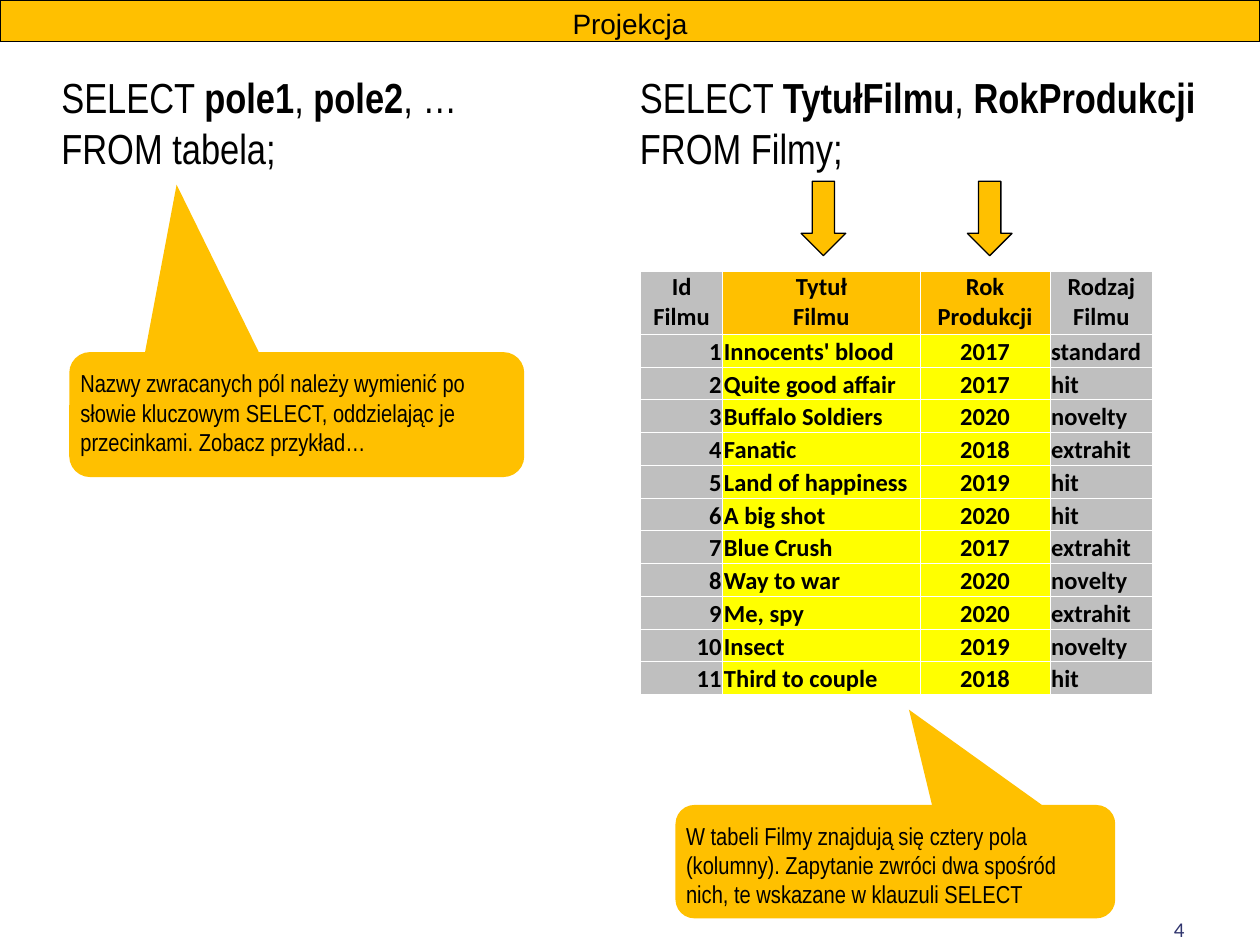
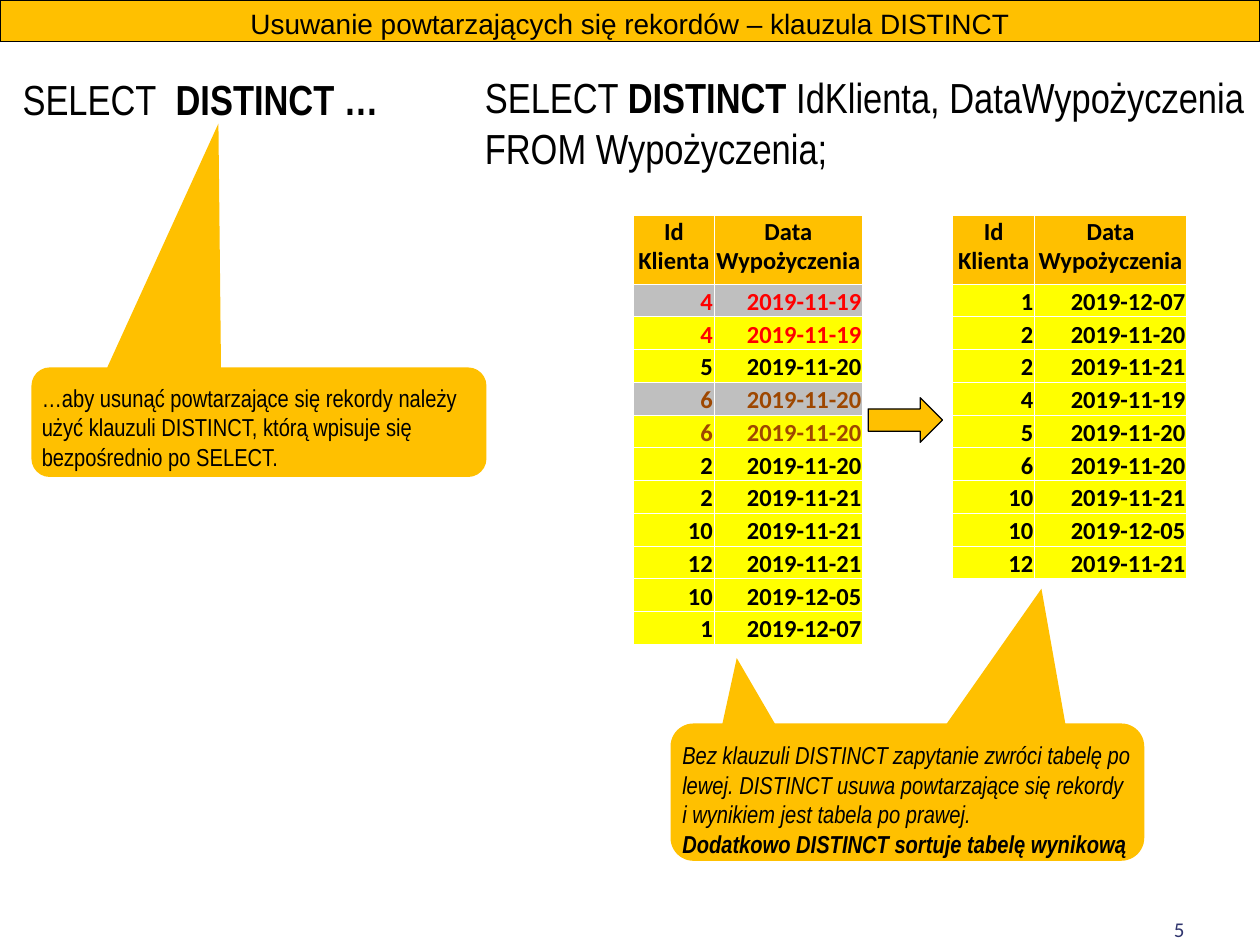
from lxml import etree
from pptx import Presentation
from pptx import util as u
from pptx.dml import color
from pptx.enum import shapes, text
from pptx.oxml import ns

AMBER, YELLOW, GREY = "FFC000", "FFFF00", "BFBFBF"
BLACK, WHITE, NAVY, RED, BROWN = "000000", "FFFFFF", "30356E", "FF0000", "9E4700"
HEADING, NARROW, TABLE_FONT = "Arial", "Arial Narrow", "Calibri"
LEFT, CENTER, RIGHT = text.PP_ALIGN.LEFT, text.PP_ALIGN.CENTER, text.PP_ALIGN.RIGHT
TOP, BOTTOM = text.MSO_ANCHOR.TOP, text.MSO_ANCHOR.BOTTOM
SLIDE_WIDTH, SLIDE_HEIGHT = 720, 540
ROW_HEIGHT = 18.72


def rgb(value):
    return color.RGBColor.from_string(value)


def points(box):
    return [u.Pt(length) for length in box]


def write(frame, paragraphs, font, size, ink=BLACK, align=LEFT, italic=False):
    """Each paragraph is a list of (text, bold) runs."""
    for index, runs in enumerate(paragraphs):
        paragraph = frame.paragraphs[0] if index == 0 else frame.add_paragraph()
        paragraph.alignment = align
        for content, bold in runs:
            run = paragraph.add_run()
            run.text = content
            run.font.name, run.font.size = font, u.Pt(size)
            run.font.bold, run.font.italic = bold, italic
            run.font.color.rgb = rgb(ink)


def set_frame(frame, insets, anchor=TOP):
    frame.word_wrap = True
    frame.auto_size = text.MSO_AUTO_SIZE.NONE
    frame.vertical_anchor = anchor
    (frame.margin_left, frame.margin_top,
     frame.margin_right, frame.margin_bottom) = points(insets)


def paint(shape, outlined):
    shape.fill.solid()
    shape.fill.fore_color.rgb = rgb(AMBER)
    if outlined:
        shape.line.color.rgb = rgb(BLACK)
        shape.line.width = u.Pt(0.75)
    else:
        shape.line.fill.background()


def add_text(slide, box, paragraphs, font=NARROW, size=24, ink=BLACK,
             align=LEFT, anchor=TOP):
    frame = slide.shapes.add_textbox(*points(box)).text_frame
    set_frame(frame, (7.2, 3.6, 7.2, 3.6), anchor)
    write(frame, paragraphs, font, size, ink, align)


def add_preset(slide, kind, box, adjustments, outlined):
    shape = slide.shapes.add_shape(kind, *points(box))
    shape.shadow.inherit = False
    for index, value in enumerate(adjustments):
        shape.adjustments[index] = value
    paint(shape, outlined)
    return shape


def add_arrow(slide, left, top, rotation=0):
    arrow = add_preset(slide, shapes.MSO_SHAPE.DOWN_ARROW,
                       (left, top, 25.5, 42.5), (0.5, 0.5), outlined=True)
    arrow.rotation = rotation


def add_callout(slide, box, tip, paragraphs=(), italic=False):
    """The tip is an offset from the centre, in shares of the box."""
    callout = add_preset(slide, shapes.MSO_SHAPE.ROUNDED_RECTANGULAR_CALLOUT,
                         box, (*tip, 0.167), outlined=False)
    set_frame(callout.text_frame, (2.9, 5.8, 2.9, 3.6))
    write(callout.text_frame, paragraphs, NARROW, 14, italic=italic)


def add_borders(cell):
    properties = cell._tc.get_or_add_tcPr()
    for side in ("lnL", "lnR", "lnT", "lnB"):
        line = etree.SubElement(properties, ns.qn("a:" + side), w=str(u.Pt(0.5)))
        fill = etree.SubElement(line, ns.qn("a:solidFill"))
        etree.SubElement(fill, ns.qn("a:srgbClr"), val=WHITE)


def fill_cell(cell, lines, fill, ink, align, anchor):
    add_borders(cell)
    cell.fill.solid()
    cell.fill.fore_color.rgb = rgb(fill)
    cell.vertical_anchor = anchor
    (cell.margin_left, cell.margin_top,
     cell.margin_right, cell.margin_bottom) = points((0.7, 0.7, 0.7, 0))
    for index, line in enumerate(lines):
        if index:
            cell.text_frame.paragraphs[0].add_line_break()
        write(cell.text_frame, [[(line, True)]], TABLE_FONT, 14, ink, align)


def add_records(slide, left, top, widths, header_height, headers, records,
                aligns, unused_columns=(), row_styles=None):
    """Unused columns are grey; row_styles maps a record to (fill, ink)."""
    height = header_height + ROW_HEIGHT * len(records)
    table = slide.shapes.add_table(len(records) + 1, len(headers), *points(
        (left, top, sum(widths), height))).table
    table.first_row = table.horz_banding = False
    for column, width in zip(table.columns, widths):
        column.width = u.Pt(width)
    for index, row in enumerate(table.rows):
        row.height = u.Pt(ROW_HEIGHT if index else header_height)
    for column, header in enumerate(headers):
        unused = column in unused_columns
        fill_cell(table.cell(0, column), header.split(),
                  GREY if unused else AMBER, BLACK, CENTER, TOP)
        for row, record in enumerate(records):
            fill, ink = (row_styles or {}).get(row, (YELLOW, BLACK))
            fill_cell(table.cell(row + 1, column), [str(record[column])],
                      GREY if unused else fill, ink, aligns[column], BOTTOM)


def start_slide(presentation, title, number):
    """Slide with the title band and the page number."""
    slide = presentation.slides.add_slide(presentation.slide_layouts[5])
    band = slide.shapes.title
    band.left, band.top, band.width, band.height = points((0, 0, SLIDE_WIDTH, 23.8))
    paint(band, outlined=True)
    set_frame(band.text_frame, (7.2, 3.6, 7.2, 3.6))
    write(band.text_frame, [[(title, False)]], HEADING, 16, align=CENTER)
    add_text(slide, (516, 504, 168, 37.5), [[(str(number), False)]],
             TABLE_FONT, 12, NAVY, RIGHT, BOTTOM)
    return slide


FILMS = [
    (1, "Innocents' blood", 2017, "standard"),
    (2, "Quite good affair", 2017, "hit"),
    (3, "Buffalo Soldiers", 2020, "novelty"),
    (4, "Fanatic", 2018, "extrahit"),
    (5, "Land of happiness", 2019, "hit"),
    (6, "A big shot", 2020, "hit"),
    (7, "Blue Crush", 2017, "extrahit"),
    (8, "Way to war", 2020, "novelty"),
    (9, "Me, spy", 2020, "extrahit"),
    (10, "Insect", 2019, "novelty"),
    (11, "Third to couple", 2018, "hit"),
]
RENTALS = [
    (4, "2019-11-19"), (4, "2019-11-19"), (5, "2019-11-20"), (6, "2019-11-20"),
    (6, "2019-11-20"), (2, "2019-11-20"), (2, "2019-11-21"), (10, "2019-11-21"),
    (12, "2019-11-21"), (10, "2019-12-05"), (1, "2019-12-07"),
]
DISTINCT_RENTALS = [
    (1, "2019-12-07"), (2, "2019-11-20"), (2, "2019-11-21"), (4, "2019-11-19"),
    (5, "2019-11-20"), (6, "2019-11-20"), (10, "2019-11-21"), (10, "2019-12-05"),
    (12, "2019-11-21"),
]


def projection_slide(presentation):
    slide = start_slide(presentation, "Projekcja", 4)
    # Syntax and its explanation
    add_text(slide, (28, 37.5, 308, 98.5), [
        [("SELECT ", False), ("pole1", True), (", ", False), ("pole2", True),
         (", …", False)],
        [("FROM tabela;", False)]])
    add_callout(slide, (39.6, 201.2, 260, 71.4), (-0.264, -1.84), [[(
        "Nazwy zwracanych pól należy wymienić po słowie kluczowym SELECT, "
        "oddzielając je przecinkami. Zobacz przykład…", False)]])
    # Example query with arrows to the chosen columns
    add_text(slide, (358.6, 37.5, 356, 70.5), [
        [("SELECT ", False), ("TytułFilmu", True), (", ", False),
         ("RokProdukcji", True)],
        [("FROM Filmy;", False)]])
    for left in (457.8, 552.8):
        add_arrow(slide, left, 103.6)
    add_records(slide, 366, 155, (47, 112.8, 74.2, 58.8), 36,
                ("Id Filmu", "Tytuł Filmu", "Rok Produkcji", "Rodzaj Filmu"),
                FILMS, (RIGHT, LEFT, CENTER, LEFT), unused_columns=(0, 3))
    add_callout(slide, (386, 460, 251.3, 64.8), (0.031, -1.34), [[(
        "W tabeli Filmy znajdują się cztery pola (kolumny). Zapytanie zwróci "
        "dwa spośród nich, te wskazane w klauzuli SELECT", False)]])


def distinct_slide(presentation):
    slide = start_slide(
        presentation, "Usuwanie powtarzających się rekordów – klauzula DISTINCT", 5)
    # Syntax and its explanation
    add_text(slide, (5.8, 38.3, 220, 70.5),
             [[("SELECT", False), ("  DISTINCT …", True)]])
    add_callout(slide, (18, 210, 260, 62.6), (-0.089, -2.727), [[(
        "…aby usunąć powtarzające się rekordy należy użyć klauzuli DISTINCT, "
        "którą wpisuje się bezpośrednio po SELECT.", False)]])
    # Example query
    add_text(slide, (270, 37.5, 450, 70.5), [
        [("SELECT ", False), ("DISTINCT", True),
         (" IdKlienta, DataWypożyczenia", False)],
        [("FROM Wypożyczenia;", False)]])
    # Tables before and after, with repeated records marked
    headers, aligns = ("Id Klienta", "Data Wypożyczenia"), (RIGHT, RIGHT)
    add_records(slide, 362.2, 123.2, (45.8, 85), 39.2, headers, RENTALS, aligns,
                row_styles={0: (GREY, RED), 1: (YELLOW, RED),
                            3: (GREY, BROWN), 4: (YELLOW, BROWN)})
    add_arrow(slide, 504.6, 218.8, rotation=270)
    add_records(slide, 544.5, 123.2, (46.6, 87), 39.2, headers,
                DISTINCT_RENTALS, aligns)
    # Shared comment with one tip for each table
    add_callout(slide, (383.8, 425.5, 158.4, 35.3), (-0.265, -1.902))
    add_callout(slide, (383.2, 413.4, 270.7, 78.5), (0.283, -1.481), [
        [("Bez klauzuli DISTINCT zapytanie zwróci tabelę po lewej. DISTINCT "
          "usuwa powtarzające się rekordy i wynikiem jest tabela po prawej.",
          False)],
        [("Dodatkowo DISTINCT sortuje tabelę wynikową", True)]], italic=True)


presentation = Presentation()
presentation.slide_width, presentation.slide_height = points((SLIDE_WIDTH, SLIDE_HEIGHT))
projection_slide(presentation)
distinct_slide(presentation)
presentation.save("out.pptx")
